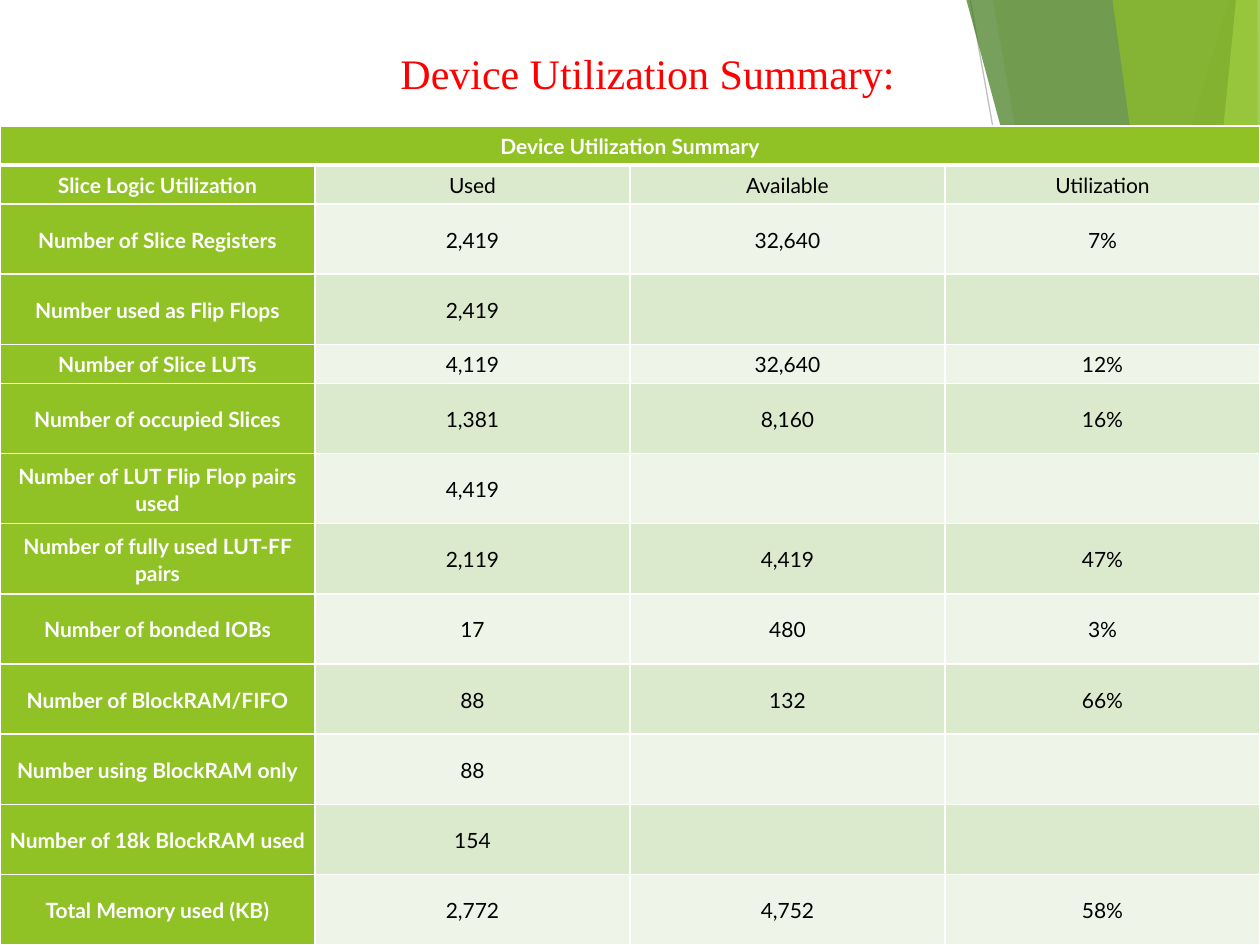
from lxml.etree import SubElement
from pptx import Presentation
from pptx.dml.color import RGBColor
from pptx.enum.shapes import MSO_CONNECTOR
from pptx.enum.text import MSO_ANCHOR, MSO_AUTO_SIZE, PP_ALIGN
from pptx.oxml.ns import qn
from pptx.util import Inches, Pt

WIDTH, HEIGHT = Inches(10), Inches(7.5)
UNIT = WIDTH // 1000
COLORS = {
    "green": "90C226", "forest": "3F7819", "lime": "C0E474",
    "gray": "BFBFBF", "red": "FF0000", "white": "FFFFFF", "black": "000000",
    "band": "DBE9CD", "pale": "EEF4E8",
}
FACETS = [
    ([(975, 0), (754, 750), (1000, 750), (1000, 0)], "green", 30),
    ([(788, 0), (919, 750), (1000, 750), (1000, 0)], "green", 20),
    ([(767, 0), (970, 750), (1000, 750), (1000, 0)], "forest", 70),
    ([(981, 0), (907, 750), (1000, 750), (1000, 0)], "lime", 70),
    ([(883, 0), (986, 750), (1000, 750), (998, 0)], "green", 65),
]
TITLE = "Device Utilization Summary:"
HEADING = "Device Utilization Summary"
ROWS = [
    ("Slice Logic Utilization", "Used", "Available", "Utilization"),
    ("Number of Slice Registers", "2,419", "32,640", "7%"),
    ("Number used as Flip Flops", "2,419", "", ""),
    ("Number of Slice LUTs", "4,119", "32,640", "12%"),
    ("Number of occupied Slices", "1,381", "8,160", "16%"),
    ("Number of LUT Flip Flop pairs used", "4,419", "", ""),
    ("Number of fully used LUT-FF pairs", "2,119", "4,419", "47%"),
    ("Number of bonded IOBs", "17", "480", "3%"),
    ("Number of BlockRAM/FIFO", "88", "132", "66%"),
    ("Number using BlockRAM only", "88", "", ""),
    ("Number of 18k BlockRAM used", "154", "", ""),
    ("Total Memory used (KB)", "2,772", "4,752", "58%"),
]
SHORT_ROWS = (0, 1, 4)


def rgb(name):
    """Return the named colour."""
    return RGBColor.from_string(COLORS[name])


def write(tf, text, *, size, font, color, bold=False, align=None, line=None, after=None):
    """Write one formatted paragraph into a text frame."""
    p = tf.paragraphs[0]
    p.alignment, p.line_spacing = align, line
    if after is not None:
        p.space_after = Pt(after)
    r = p.add_run()
    r.text = text
    r.font.size, r.font.name, r.font.bold = Pt(size), font, bold
    r.font.color.rgb = rgb(color)


def add_facet(s, points, color, opacity):
    """Draw one translucent facet on the thousandths grid."""
    builder = s.shapes.build_freeform(*points[0], scale=UNIT)
    builder.add_line_segments(points[1:], close=True)
    sp = builder.convert_to_shape()
    sp.shadow.inherit = False
    sp.fill.solid()
    sp.fill.fore_color.rgb = rgb(color)
    sp.line.fill.background()
    clr = sp.fill._xPr.find(qn("a:solidFill"))[0]
    SubElement(clr, qn("a:alpha"), val=str(opacity * 1000))


def add_ray(s, start, end, color):
    """Draw a thin straight line on the thousandths grid."""
    ends = [v * UNIT for v in (*start, *end)]
    line = s.shapes.add_connector(MSO_CONNECTOR.STRAIGHT, *ends)
    line.line.color.rgb = rgb(color)
    line.line.width = Pt(0.75)
    SubElement(line._element.spPr, qn("a:effectLst"))


def add_title(s, text):
    """Add the slide title."""
    sp = s.shapes.add_textbox(int(WIDTH * 0.308), int(HEIGHT * 0.044), int(WIDTH * 0.417), Inches(0.5))
    tf = sp.text_frame
    tf.word_wrap = True
    tf.auto_size = MSO_AUTO_SIZE.SHAPE_TO_FIT_TEXT
    write(tf, text, size=24, font="Times New Roman", color="red")


def set_borders(cell, **widths):
    """Set white borders, given in points by side."""
    tcPr = cell._tc.get_or_add_tcPr()
    for side in "LRTB":
        ln = SubElement(tcPr, qn(f"a:ln{side}"), w=str(Pt(widths.get(side, 1))))
        fill = SubElement(ln, qn("a:solidFill"))
        SubElement(fill, qn("a:srgbClr"), val=COLORS["white"])


def format_cell(cell, text, fill, **borders):
    """Fill a table cell and write its text."""
    set_borders(cell, **borders)
    cell.fill.solid()
    cell.fill.fore_color.rgb = rgb(fill)
    cell.vertical_anchor = MSO_ANCHOR.MIDDLE
    cell.margin_left = cell.margin_right = Inches(0.02)
    cell.margin_top = cell.margin_bottom = Inches(0.02)
    if text:
        label = fill == "green"
        write(cell.text_frame, text, size=12, font="Lato", bold=label,
              color="white" if label else "black",
              align=PP_ALIGN.CENTER, line=1.07, after=8)


def add_summary(s):
    """Add the utilization table below the title."""
    count, columns = len(ROWS) + 1, len(ROWS[0])
    top = Inches(1)
    height, short = HEIGHT - top, Inches(0.31)
    tall = (height - short * len(SHORT_ROWS)) // (count - len(SHORT_ROWS))
    table = s.shapes.add_table(count, columns, 0, top, WIDTH, height).table
    table.first_row = table.horz_banding = False
    for i, row in enumerate(table.rows):
        row.height = short if i in SHORT_ROWS else tall
    table.cell(0, 0).merge(table.cell(0, columns - 1))
    for j in range(columns):
        format_cell(table.cell(0, j), "" if j else HEADING, "green", B=3)
    for i, values in enumerate(ROWS, 1):
        band = "band" if i % 2 else "pale"
        for j, text in enumerate(values):
            format_cell(table.cell(i, j), text, band if j else "green", T=3 if i == 1 else 1)


def main():
    """Build the slide and save it."""
    prs = Presentation()
    prs.slide_width, prs.slide_height = WIDTH, HEIGHT
    s = prs.slides.add_slide(prs.slide_layouts[6])
    add_ray(s, (770, 0), (904, 750), "gray")
    for facet in FACETS:
        add_facet(s, *facet)
    add_title(s, TITLE)
    add_summary(s)
    prs.save("out.pptx")


if __name__ == "__main__":
    main()
